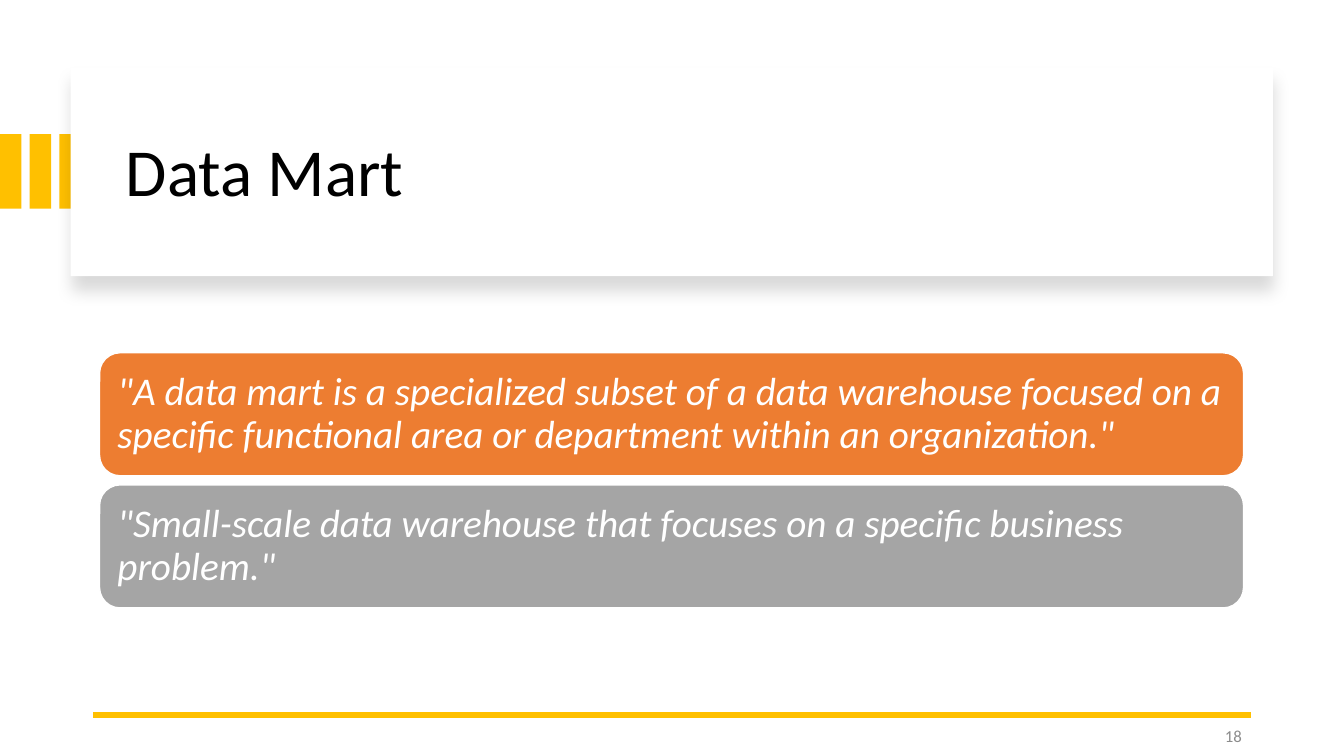
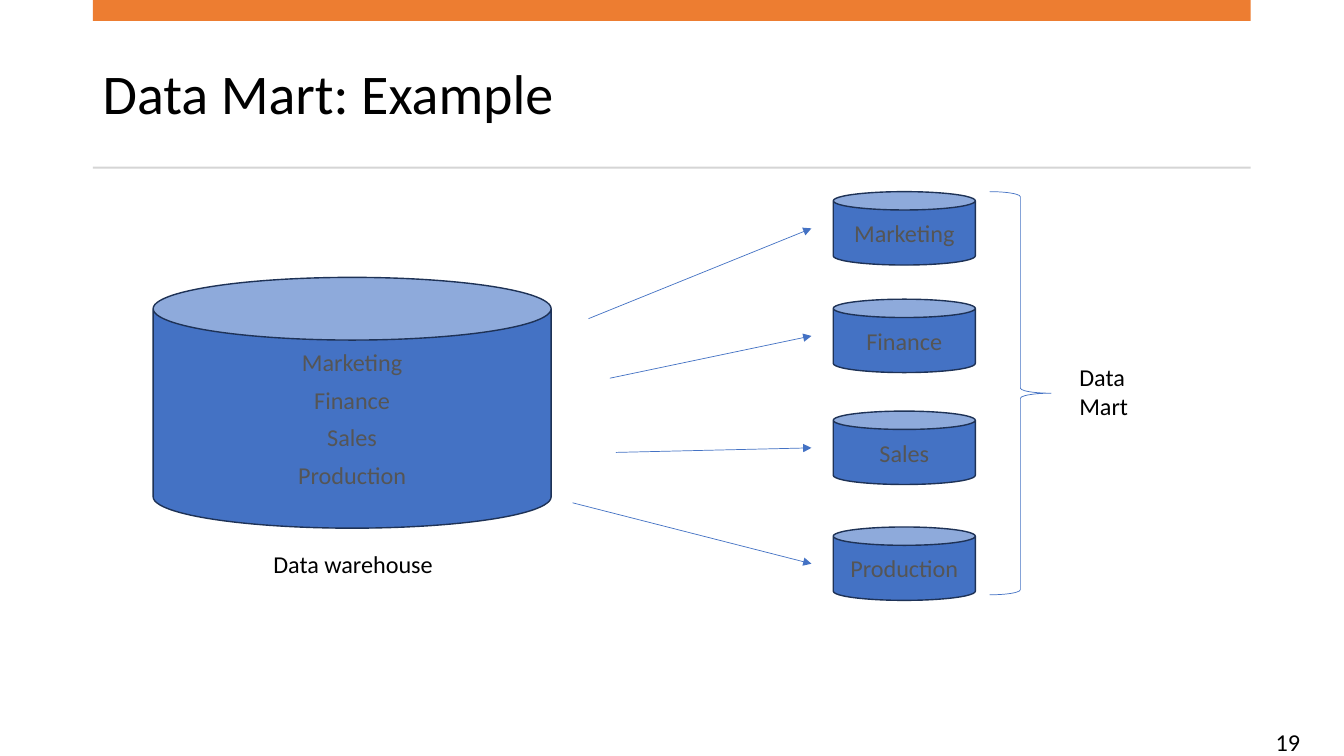
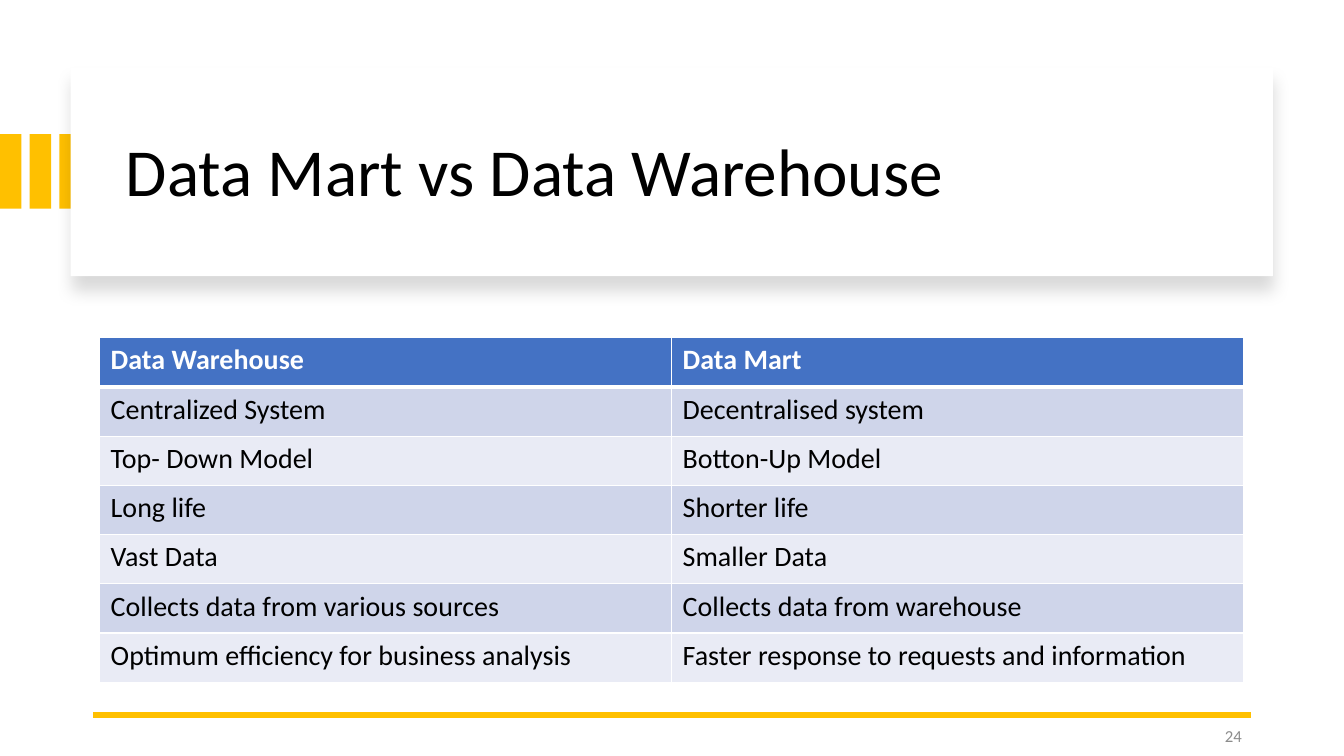
import pptx
import pptx.util
import pptx.dml.color
import pptx.enum.shapes
import pptx.enum.text
import pptx.oxml
import pptx.oxml.ns
import lxml.etree

Cm = pptx.util.Cm
Pt = pptx.util.Pt
SHAPES = pptx.enum.shapes.MSO_SHAPE
ALIGN = pptx.enum.text.PP_ALIGN
ANCHOR = pptx.enum.text.MSO_ANCHOR

FONT = "Calibri"
BLACK, WHITE, GOLD, ORANGE = "000000", "FFFFFF", "FFC000", "ED7D31"
BLUE, NAVY, GREY, TEXT_GREY = "4472C4", "1E3256", "A5A5A5", "555555"
RULE_GREY, NUMBER_GREY = "D5D5D5", "8C8C8C"
BANDS = ("E9EBF5", "CFD5EA")
LABEL_SIZE = 17.3
MARGIN, CONTENT_WIDTH = 2.34, 29.18
PANEL_LEFT, PANEL_WIDTH = 2.51, 28.83
MART_LEFT, MART_WIDTH, MART_HEIGHT = 21, 3.58, 1.85
ARROW_GAP = 0.55

DEFINITIONS = [
    ("\"A data mart is a specialized subset of a data warehouse focused on a "
     "specific functional area or department within an organization.\"", ORANGE),
    ("\"Small-scale data warehouse that focuses on a specific business problem.\"", GREY),
]

DEPARTMENTS = [
    ("Marketing", 4.83, (14.83, 8.03)),
    ("Finance", 7.54, (15.37, 9.53)),
    ("Sales", 10.36, (15.52, 11.4)),
    ("Production", 13.28, (14.43, 12.67)),
]

COMPARISON = [
    ("Data Warehouse", "Data Mart"),
    ("Centralized System", "Decentralised system"),
    ("Top- Down Model", "Botton-Up Model"),
    ("Long life", "Shorter life"),
    ("Vast Data", "Smaller Data"),
    ("Collects data from various sources", "Collects data from warehouse"),
    ("Optimum efficiency for business analysis",
     "Faster response to requests and information"),
]


def colour(value):
    return pptx.dml.color.RGBColor.from_string(value)


def write(frame, text, size=LABEL_SIZE, color=BLACK, bold=False, italic=False,
          align=ALIGN.LEFT, anchor=ANCHOR.TOP, spacing=1.0, after=0, inset=(0.25, 0.13)):
    frame.word_wrap = True
    frame.vertical_anchor = anchor
    frame.margin_left = frame.margin_right = Cm(inset[0])
    frame.margin_top = frame.margin_bottom = Cm(inset[1])
    for index, line in enumerate(text.split("\n")):
        paragraph = frame.paragraphs[0] if index == 0 else frame.add_paragraph()
        paragraph.alignment = align
        paragraph.line_spacing = spacing
        paragraph.space_after = Pt(after)
        run = paragraph.add_run()
        run.text = line
        run.font.name = FONT
        run.font.size = Pt(size)
        run.font.bold = bold
        run.font.italic = italic
        run.font.color.rgb = colour(color)


def add_text(slide, box, text, **style):
    write(slide.shapes.add_textbox(*map(Cm, box)).text_frame, text, **style)


def add_shape(slide, kind, box, fill=None, line=None, width=1):
    shape = slide.shapes.add_shape(kind, *map(Cm, box))
    shape.shadow.inherit = False
    if fill:
        shape.fill.solid()
        shape.fill.fore_color.rgb = colour(fill)
    else:
        shape.fill.background()
    if line:
        shape.line.color.rgb = colour(line)
        shape.line.width = Pt(width)
    else:
        shape.line.fill.background()
    return shape


def add_child(parent, tag, **attributes):
    return lxml.etree.SubElement(parent, pptx.oxml.ns.qn(tag), attributes)


def add_line(slide, ends, color, width, arrow=False):
    connector = slide.shapes.add_connector(
        pptx.enum.shapes.MSO_CONNECTOR.STRAIGHT, *map(Cm, ends))
    connector.line.color.rgb = colour(color)
    connector.line.width = Pt(width)
    if arrow:
        add_child(connector.line._get_or_add_ln(), "a:tailEnd", type="triangle")
    add_child(connector._element.spPr, "a:effectLst")


def add_card_shadow(card):
    effects = card._element.spPr.find(pptx.oxml.ns.qn("a:effectLst"))
    shadow = add_child(effects, "a:outerShdw", blurRad=str(Pt(11)), dist=str(Pt(10)),
                       dir="5400000", algn="t", rotWithShape="0")
    add_child(add_child(shadow, "a:srgbClr", val=BLACK), "a:alpha", val="15000")


def add_border(cell, side, width):
    border = add_child(cell._tc.get_or_add_tcPr(), f"a:ln{side}", w=str(Pt(width)))
    add_child(add_child(border, "a:solidFill"), "a:srgbClr", val=WHITE)


def add_slide(presentation):
    return presentation.slides.add_slide(presentation.slide_layouts[6])


def add_card_slide(presentation, title, number):
    slide = add_slide(presentation)
    for index in range(3):
        add_shape(slide, SHAPES.RECTANGLE, (index * 0.75, 3.38, 0.54, 1.88), GOLD)
    card = add_shape(slide, SHAPES.RECTANGLE, (1.78, 1.7, 30.3, 5.26), WHITE)
    add_card_shadow(card)
    add_text(slide, (2.92, 2.24, 28.27, 4.32), title, size=48,
             anchor=ANCHOR.MIDDLE, spacing=0.9)
    add_line(slide, (MARGIN + CONTENT_WIDTH, 18.01, MARGIN, 18.01), GOLD, 4.5)
    add_text(slide, (23.93, 18.03, 7.62, 1.02), number, size=12, color=NUMBER_GREY,
             align=ALIGN.RIGHT, anchor=ANCHOR.MIDDLE, after=6)
    return slide


def build_definitions(presentation):
    slide = add_card_slide(presentation, "Data Mart", "18")
    for index, (text, fill) in enumerate(DEFINITIONS):
        box = (PANEL_LEFT, 8.89 + index * 3.33, PANEL_WIDTH, 3.1)
        panel = add_shape(slide, SHAPES.ROUNDED_RECTANGLE, box, fill, WHITE)
        write(panel.text_frame, text, size=28, color=WHITE, italic=True,
              anchor=ANCHOR.MIDDLE, spacing=0.9, inset=(0.3, 0.3))


def add_cylinder(slide, box, text):
    cylinder = add_shape(slide, SHAPES.CAN, box, BLUE, NAVY)
    write(cylinder.text_frame, text, color=TEXT_GREY, align=ALIGN.CENTER,
          anchor=ANCHOR.MIDDLE, after=6)


def build_example(presentation):
    slide = add_slide(presentation)
    add_text(slide, (MARGIN, 0.94, CONTENT_WIDTH, 3), "Data Mart: Example", size=40,
             anchor=ANCHOR.MIDDLE, spacing=0.9)
    for top, height, fill in ((0, 0.53, ORANGE), (4.2, 0.05, RULE_GREY)):
        add_shape(slide, SHAPES.RECTANGLE, (MARGIN, top, CONTENT_WIDTH, height), fill)
    add_text(slide, (31.9, 18.21, 1.9, 0.84), "19")
    names = "\n".join(name for name, top, start in DEPARTMENTS)
    add_cylinder(slide, (3.86, 6.99, 10.03, 6.32), names)
    add_text(slide, (6.64, 13.72, 5.87, 0.99), "Data warehouse")
    for name, top, start in DEPARTMENTS:
        add_cylinder(slide, (MART_LEFT, top, MART_WIDTH, MART_HEIGHT), name)
        end = (MART_LEFT - ARROW_GAP, top + MART_HEIGHT / 2)
        add_line(slide, start + end, BLUE, 0.5, arrow=True)
    add_shape(slide, SHAPES.RIGHT_BRACE, (24.94, 4.83, 1.55, 10.16), line=BLUE, width=0.5)
    add_text(slide, (26.95, 8.99, 2.51, 1.73), "Data Mart")


def build_comparison(presentation):
    slide = add_card_slide(presentation, "Data Mart vs Data Warehouse", "24")
    row_height = 1.24
    box = (PANEL_LEFT, 8.51, PANEL_WIDTH, row_height * len(COMPARISON))
    table = slide.shapes.add_table(len(COMPARISON), 2, *map(Cm, box)).table
    for row_index, texts in enumerate(COMPARISON):
        header = row_index == 0
        table.rows[row_index].height = Cm(row_height)
        for column_index, text in enumerate(texts):
            cell = table.cell(row_index, column_index)
            for side in "LRTB":
                thick = (header and side == "B") or (row_index == 1 and side == "T")
                add_border(cell, side, 3 if thick else 1)
            cell.fill.solid()
            cell.fill.fore_color.rgb = colour(BLUE if header else BANDS[row_index % 2])
            write(cell.text_frame, text, size=20, bold=header,
                  color=WHITE if header else BLACK)
            cell.margin_left = cell.margin_right = Cm(0.28)
            cell.margin_top = cell.margin_bottom = Cm(0.14)


def main():
    presentation = pptx.Presentation()
    presentation.slide_width = Cm(33.87)
    presentation.slide_height = Cm(19.05)
    build_definitions(presentation)
    build_example(presentation)
    build_comparison(presentation)
    presentation.save("out.pptx")


if __name__ == "__main__":
    main()
